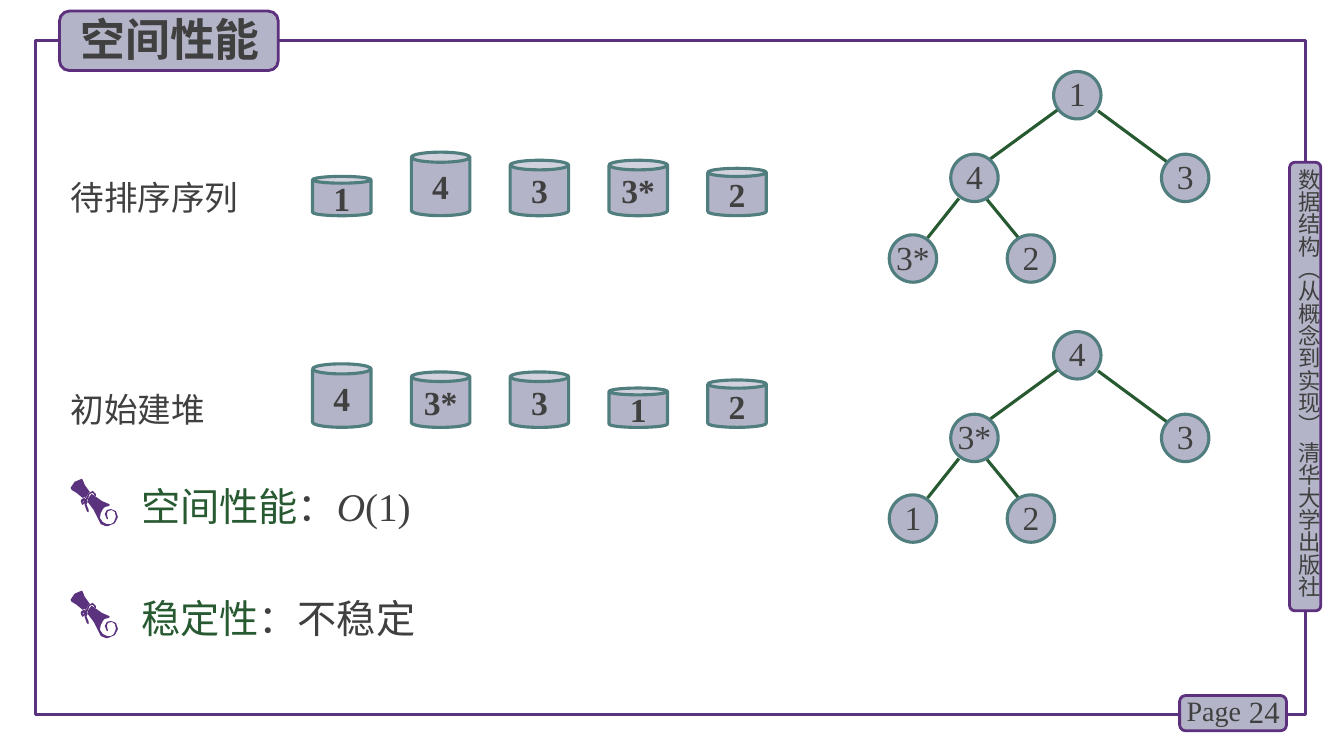
from lxml import etree
from pptx import Presentation
from pptx.dml.color import RGBColor
from pptx.enum.shapes import MSO_CONNECTOR, MSO_SHAPE
from pptx.enum.text import MSO_ANCHOR, PP_ALIGN
from pptx.oxml.ns import qn
from pptx.util import Inches, Pt

ROUNDED, RECT = MSO_SHAPE.ROUNDED_RECTANGLE, MSO_SHAPE.RECTANGLE
CAN, OVAL = MSO_SHAPE.CAN, MSO_SHAPE.OVAL
STRAIGHT = MSO_CONNECTOR.STRAIGHT
TOP, MIDDLE = MSO_ANCHOR.TOP, MSO_ANCHOR.MIDDLE
LEFT, CENTER, RIGHT = PP_ALIGN.LEFT, PP_ALIGN.CENTER, PP_ALIGN.RIGHT

LATIN, CJK = "Times New Roman", "Noto Sans CJK SC"
INK, PANEL, PURPLE, FRAME = "404040", "B4B4C8", "5C307D", "5A327D"
TEAL, GREEN = "507D7D", "285A32"

NODE_SIZE = 0.47
NODES = [(10.45, 0.71), (9.43, 1.53), (11.52, 1.53), (8.82, 2.33), (9.99, 2.33)]
EDGES = [(10.49, 1.09, 9.79, 1.6), (10.89, 1.1, 11.58, 1.61),
         (9.51, 1.97, 9.2, 2.36), (9.79, 1.98, 10.11, 2.37)]

SCROLL_CAP = [(14, 18), (15, 19), (18, 14), (19, 13), (14, 6), (12, 1), (11, 0),
              (4, 3), (0, 9), (1, 11), (6, 14), (12, 19)]
SCROLL_SHEET = [(45, 32), (40, 30), (36, 31), (34, 35), (36, 40), (37, 40), (37, 39),
                (36, 35), (37, 32), (41, 31), (44, 33), (45, 38), (43, 43), (40, 45),
                (36, 45), (32, 43), (30, 40), (29, 39), (30, 34), (32, 30), (34, 28),
                (38, 27), (39, 26), (38, 25), (31, 22), (24, 17), (21, 15), (20, 16),
                (17, 20), (17, 23), (23, 31), (27, 39), (28, 41), (30, 45), (35, 47),
                (37, 47), (44, 44), (47, 38)]
SCROLL_RIBBON = [(17, 33), (16, 32), (14, 26), (14, 24), (13, 25), (12, 26), (11, 25),
                 (10, 22), (11, 20), (14, 19), (15, 20), (18, 14), (22, 12), (23, 13),
                 (25, 15), (25, 17), (24, 17), (23, 15), (22, 14), (19, 15), (17, 20),
                 (16, 21), (17, 23), (16, 25), (16, 26), (18, 31), (18, 33)]
RIBBON_LOOP = [(14, 21), (12, 23), (12, 24), (13, 23)]


def rgb(hex_color):
    return RGBColor.from_string(hex_color)


def style_font(p, size, name, bold=False):
    font = p.font
    font.size, font.name, font.bold = Pt(size), name, bold
    font.color.rgb = rgb(INK)
    ea = etree.Element(qn("a:ea"), typeface=CJK)
    font._rPr.find(qn("a:latin")).addnext(ea)


def set_margins(tf, margin):
    tf.margin_left = tf.margin_right = tf.margin_top = tf.margin_bottom = Inches(margin)


def add_box(s, kind, x, y, w, h, line, width, fill=None):
    sp = s.shapes.add_shape(kind, Inches(x), Inches(y), Inches(w), Inches(h))
    sp.shadow.inherit = False
    sp.line.color.rgb = rgb(line)
    sp.line.width = Pt(width)
    if fill:
        sp.fill.solid()
        sp.fill.fore_color.rgb = rgb(fill)
    else:
        sp.fill.background()
    return sp


def add_text(s, text, x, y, w, h, size, name=CJK, bold=False, align=LEFT, anchor=TOP):
    tf = s.shapes.add_textbox(Inches(x), Inches(y), Inches(w), Inches(h)).text_frame
    tf.word_wrap = True
    tf.vertical_anchor = anchor
    p = tf.paragraphs[0]
    p.alignment = align
    if text:
        p.add_run().text = text
    style_font(p, size, name, bold)
    return tf


def label_shape(sp, text, bold, anchor):
    tf = sp.text_frame
    tf.word_wrap = False
    tf.vertical_anchor = anchor
    p = tf.paragraphs[0]
    p.alignment = CENTER
    p.add_run().text = text
    style_font(p, 24, LATIN, bold)
    return tf


def add_sequence(s, caption, keys, bottom):
    set_margins(add_text(s, caption, 0.7, bottom - 0.48 + 0.1, 1.76, 0.4, 24), 0)
    for i, key in enumerate(keys):
        height = 0.31 + 0.08 * int(key[0])
        sp = add_box(s, CAN, 3.1 + 0.98 * i, bottom - height, 0.58, height, TEAL, 2.25, PANEL)
        sp.adjustments[0] = 0.173
        label_shape(sp, key, True, MIDDLE)


def add_edge(s, x1, y1, x2, y2):
    line = s.shapes.add_connector(STRAIGHT, Inches(x1), Inches(y1), Inches(x2), Inches(y2))
    line.line.color.rgb = rgb(GREEN)
    line.line.width = Pt(2.25)
    etree.SubElement(line._element.spPr, qn("a:effectLst"))


def add_tree(s, keys, dy):
    for x1, y1, x2, y2 in EDGES:
        add_edge(s, x1, y1 + dy, x2, y2 + dy)
    for key, (x, y) in zip(keys, NODES):
        sp = add_box(s, OVAL, x, y + dy, NODE_SIZE, NODE_SIZE, TEAL, 2.25, PANEL)
        tf = label_shape(sp, key, False, TOP)
        set_margins(tf, 0)
        tf.paragraphs[0].line_spacing = Pt(25)


def add_scroll(s, x, y):
    for outline, *holes in ([SCROLL_CAP], [SCROLL_SHEET], [SCROLL_RIBBON, RIBBON_LOOP]):
        builder = s.shapes.build_freeform(*outline[0], scale=Inches(0.01))
        builder.add_line_segments(outline[1:], close=True)
        for hole in holes:
            builder.move_to(*hole[0])
            builder.add_line_segments(hole[1:], close=True)
        sp = builder.convert_to_shape(Inches(x), Inches(y))
        sp.shadow.inherit = False
        sp.fill.solid()
        sp.fill.fore_color.rgb = rgb(FRAME)
        sp.line.fill.background()


def add_point(s, y, heading, rest, symbol="", argument=""):
    add_scroll(s, 0.7, y + 0.15)
    tf = add_text(s, "", 1.2, y, 4.25, 0.71, 28, LATIN)
    tf.margin_left = Inches(0.2)
    p = tf.paragraphs[0]
    p.line_spacing = 1.3
    for text, color, italic in ((heading, GREEN, False), (rest, INK, False),
                                (symbol, INK, True), (argument, INK, False)):
        if text:
            r = p.add_run()
            r.text = text
            r.font.color.rgb = rgb(color)
            r.font.italic = italic


def add_page_frame(s):
    add_box(s, RECT, 0.35, 0.4, 12.6, 6.69, FRAME, 2.25)
    for bounds in ((12.79, 1.61, 0.31, 4.45), (11.7, 6.9, 1.06, 0.35), (0.59, 0.11, 2.17, 0.59)):
        add_box(s, ROUNDED, *bounds, PURPLE, 2, PANEL)
    side = add_text(s, "数据结构（从概念到实现） 清华大学出版社", 12.85, 1.67, 0.27, 4.49, 16)
    set_margins(side, 0)
    side._txBody.bodyPr.set("vert", "eaVert")
    add_text(s, "24", 12.2, 6.86, 0.59, 0.4, 22, LATIN, align=RIGHT, anchor=MIDDLE)
    add_text(s, "Page", 11.67, 6.83, 0.78, 0.44, 20, LATIN)
    add_text(s, "空间性能", 0.7, 0.07, 2, 0.64, 32, bold=True)


def main():
    prs = Presentation()
    prs.slide_width, prs.slide_height = Inches(13.33), Inches(7.5)
    s = prs.slides.add_slide(prs.slide_layouts[6])
    add_page_frame(s)
    add_sequence(s, "待排序序列", ["1", "4", "3", "3*", "2"], 2.14)
    add_sequence(s, "初始建堆", ["4", "3*", "3", "1", "2"], 4.24)
    add_tree(s, ["1", "4", "3", "3*", "2"], 0)
    add_tree(s, ["4", "3*", "3", "1", "2"], 2.58)
    add_point(s, 4.6, "空间性能", "：", "O", "(1)")
    add_point(s, 5.71, "稳定性", "：不稳定")
    prs.save("out.pptx")


if __name__ == "__main__":
    main()
